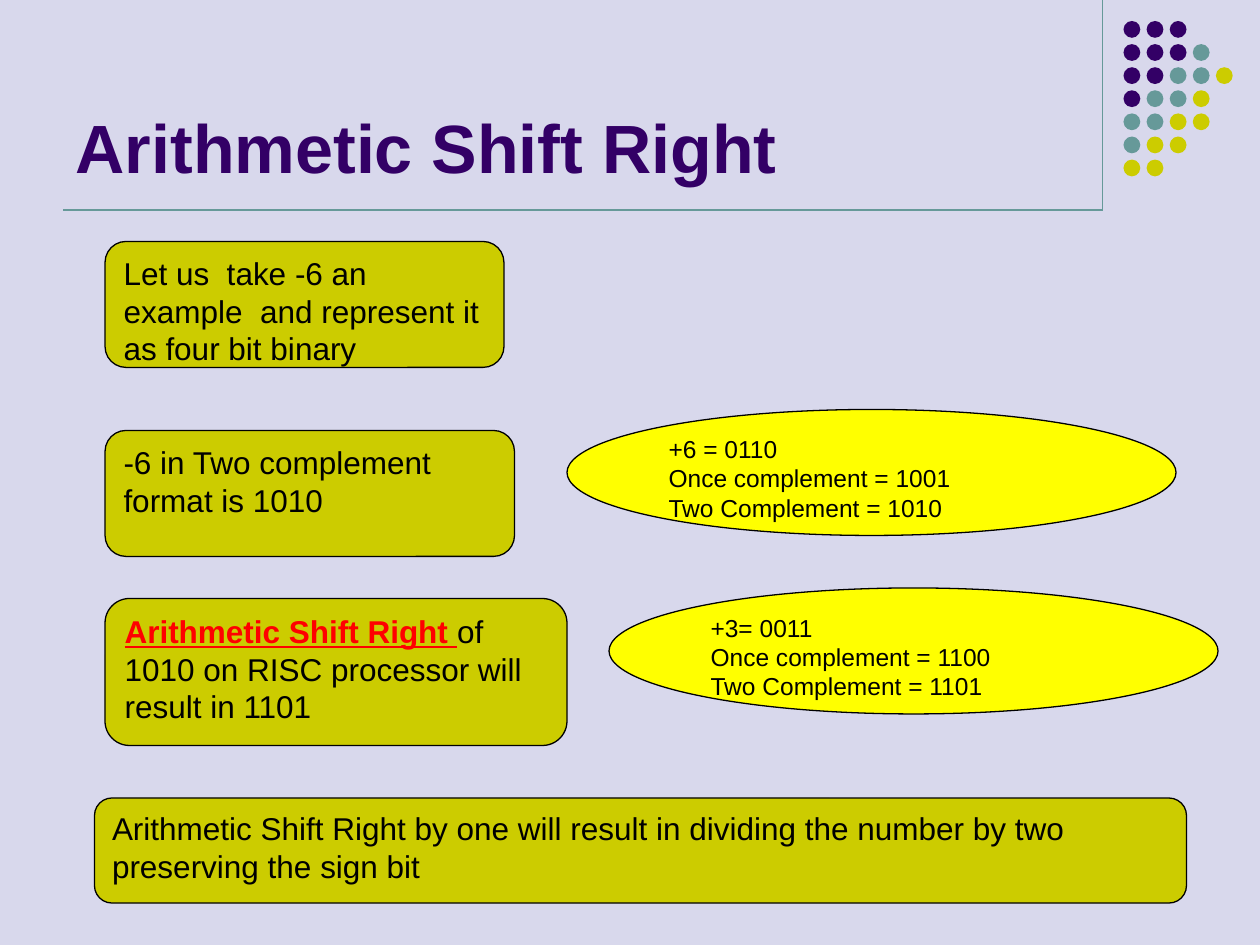
"""Builds the slide on the arithmetic shift right."""
from dataclasses import dataclass

from lxml import etree
from pptx import Presentation
from pptx.dml.color import RGBColor
from pptx.enum.shapes import MSO_CONNECTOR, MSO_SHAPE
from pptx.enum.text import MSO_ANCHOR, MSO_AUTO_SIZE, PP_ALIGN
from pptx.oxml.ns import qn
from pptx.util import Pt

ROUND = MSO_SHAPE.ROUNDED_RECTANGLE
OVAL = MSO_SHAPE.OVAL
LINE = MSO_CONNECTOR.STRAIGHT
TOP, BOTTOM = MSO_ANCHOR.TOP, MSO_ANCHOR.BOTTOM
LEFT = PP_ALIGN.LEFT
FIXED = MSO_AUTO_SIZE.NONE
PX = 7620


@dataclass(frozen=True)
class Theme:
    """Colours, font and type sizes."""
    back: str = "D8D8EC"
    plum: str = "330066"
    teal: str = "669999"
    lime: str = "CCCC00"
    sun: str = "FFFF00"
    ink: str = "000000"
    alert: str = "FF0000"
    font: str = "Arial"
    head: int = 39
    body: int = 18
    note: int = 14
    rule: float = 0.75
    lead: float = 1.2


def rgb(tint):
    """Turns a hex string into a colour."""
    return RGBColor.from_string(tint)


def emu(*sizes):
    """Turns px into EMU."""
    return [size * PX for size in sizes]


class Deck:
    """Holds the theme and the current slide."""

    def __init__(self, theme):
        """Starts a deck with one title-only slide."""
        self.theme = theme
        self.file = Presentation()
        self.file.slide_width, self.file.slide_height = emu(1200, 900)
        self.slide = self.file.slides.add_slide(self.file.slide_layouts[5])
        fill = self.slide.background.fill
        fill.solid()
        fill.fore_color.rgb = rgb(theme.back)

    def style(self, para, size, tint, bold=False):
        """Sets the font of a paragraph."""
        para.alignment = LEFT
        font = para.font
        font.name, font.size, font.bold = self.theme.font, Pt(size), bold
        font.color.rgb = rgb(tint)

    def title(self, text, *box):
        """Places and formats the title."""
        shape = self.slide.shapes.title
        shape.left, shape.top, shape.width, shape.height = emu(*box)
        frame = shape.text_frame
        frame.text = text
        frame.word_wrap, frame.auto_size = True, FIXED
        frame.vertical_anchor = BOTTOM
        self.style(frame.paragraphs[0], self.theme.head, self.theme.plum, True)

    def line(self, *ends):
        """Draws a thin rule."""
        rule = self.slide.shapes.add_connector(LINE, *emu(*ends))
        rule.line.color.rgb = rgb(self.theme.teal)
        rule.line.width = Pt(self.theme.rule)
        etree.SubElement(rule._element.spPr, qn("a:effectLst"))

    def shape(self, kind, tint, *box):
        """Draws a filled shape without an outline."""
        shape = self.slide.shapes.add_shape(kind, *emu(*box))
        shape.shadow.inherit = False
        shape.fill.solid()
        shape.fill.fore_color.rgb = rgb(tint)
        shape.line.fill.background()
        return shape

    def dots(self, rows, left, top, step, size):
        """Draws rows of dots on a grid."""
        tints = {"p": self.theme.plum, "t": self.theme.teal, "l": self.theme.lime}
        for row, keys in enumerate(rows):
            for col, key in enumerate(keys):
                self.shape(OVAL, tints[key], left + col * step, top + row * step, size, size)

    def panel(self, kind, tint, size, lines, *box, lead=""):
        """Draws an outlined shape with text and an optional red lead-in."""
        shape = self.shape(kind, tint, *box)
        shape.line.color.rgb = rgb(self.theme.ink)
        shape.line.width = Pt(self.theme.rule)
        frame = shape.text_frame
        frame.word_wrap, frame.vertical_anchor = True, TOP
        for i, text in enumerate(lines):
            para = frame.add_paragraph() if i else frame.paragraphs[0]
            self.style(para, size, self.theme.ink)
            para.line_spacing = Pt(size * self.theme.lead)
            if lead:
                run = para.add_run()
                run.text = lead
                run.font.bold = run.font.underline = True
                run.font.color.rgb = rgb(self.theme.alert)
            para.add_run().text = text

    def box(self, text, *box, lead=""):
        """Draws a rounded box."""
        self.panel(ROUND, self.theme.lime, self.theme.body, [text], *box, lead=lead)

    def note(self, lines, left, top):
        """Draws an oval note."""
        self.panel(OVAL, self.theme.sun, self.theme.note, lines, left, top, 580, 120)


def main():
    """Builds and saves the slide."""
    deck = Deck(Theme())
    deck.line(1050, 0, 1050, 200)
    deck.line(60, 200, 1050, 200)
    deck.dots(["ppp", "pppt", "ppttl", "pttl", "ttll", "tll", "ll"], 1070, 20, 22, 16)
    deck.title("Arithmetic Shift Right", 60, 14, 990, 170)
    deck.box("Let us  take -6 an example  and represent it as four bit binary", 100, 230, 380, 120)
    deck.box("-6 in Two complement format is 1010", 100, 410, 390, 120)
    deck.note(["+6 = 0110", "Once complement = 1001", "Two Complement = 1010"], 540, 390)
    deck.box("of 1010 on RISC processor will result in 1101", 100, 570, 440, 140,
             lead="Arithmetic Shift Right ")
    deck.note(["+3= 0011", "Once complement = 1100", "Two Complement = 1101"], 580, 560)
    deck.box("Arithmetic Shift Right by one will result in dividing the number by two "
             "preserving the sign bit", 90, 760, 1040, 100)
    deck.file.save("out.pptx")


if __name__ == "__main__":
    main()
